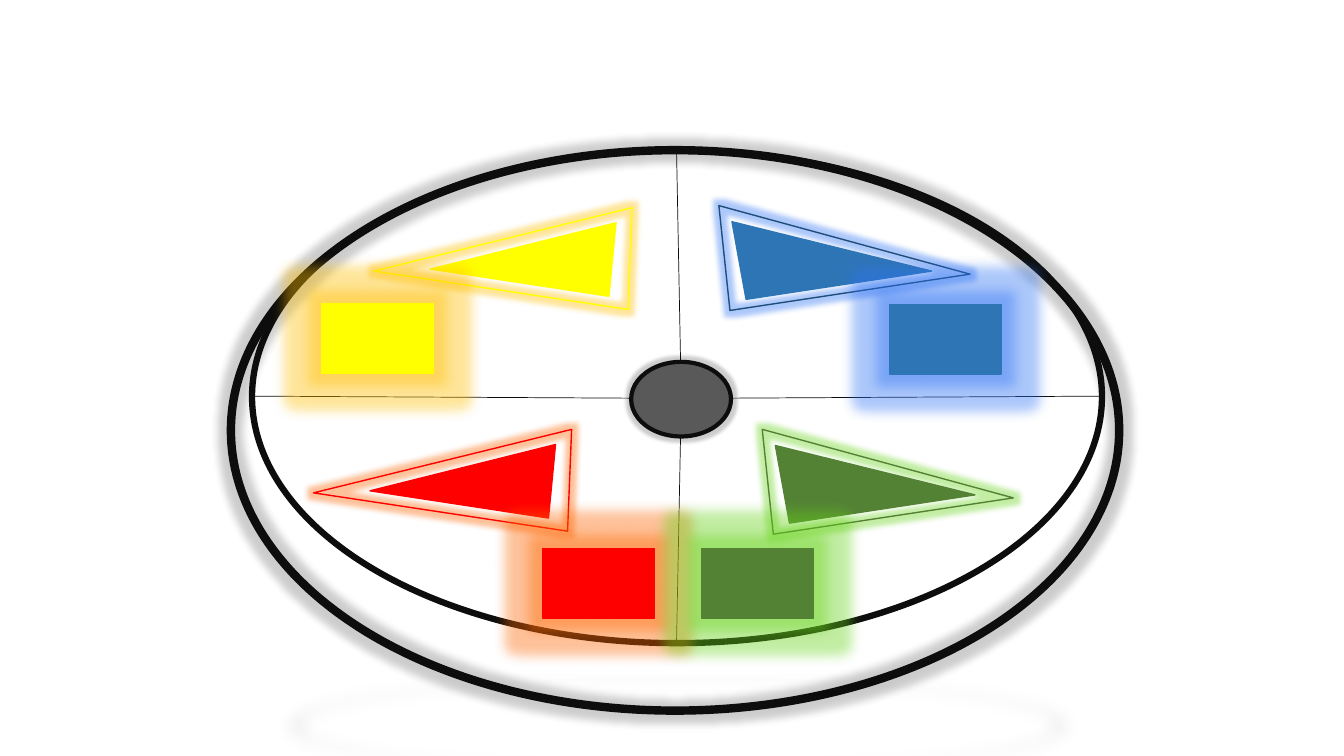
from lxml import etree
from pptx import Presentation
from pptx.dml.color import RGBColor
from pptx.enum.shapes import MSO_CONNECTOR, MSO_SHAPE
from pptx.oxml.ns import qn
from pptx.util import Inches, Pt

COLORS = {
    "black": "000000", "rim": "0D0D0D", "hub": "595959",
    "yellow": "FFFF00", "red": "FF0000", "blue": "2E75B6",
    "navy": "1F4E79", "green": "548235",
    "yellow glow": "FFC000", "red glow": "FF6600",
    "blue glow": "2F74F5", "green glow": "66D419",
}

# Corner points of the pointers in the upper half of the disc
LEFT_OUTER = [(3.71, 2.69), (6.27, 2.06), (6.23, 3.07)]
LEFT_INNER = [(4.27, 2.67), (6.11, 2.21), (6.04, 2.94)]
RIGHT_OUTER = [(7.13, 2.04), (9.62, 2.72), (7.24, 3.08)]
RIGHT_INNER = [(7.26, 2.2), (9.24, 2.69), (7.4, 2.97)]

# Hue, outline colour, outer and inner pointer, pointer shift, button corner
SECTORS = [
    ("yellow", "yellow", LEFT_OUTER, LEFT_INNER, (0, 0), (3.19, 3.01)),
    ("red", "red", LEFT_OUTER, LEFT_INNER, (-0.6, 2.2), (5.38, 5.44)),
    ("blue", "navy", RIGHT_OUTER, RIGHT_INNER, (0, 0), (8.82, 3.02)),
    ("green", "green", RIGHT_OUTER, RIGHT_INNER, (0.43, 2.22), (6.96, 5.44)),
]

# Spokes from the hub to the edge of the disc
SPOKES = [
    ((6.75, 3.59), (6.71, 1.49)), ((7.24, 3.95), (10.93, 3.93)),
    ((6.26, 3.95), (2.5, 3.93)), ((6.75, 4.32), (6.71, 6.37)),
]


def rgb(name):
    """Return the named colour."""
    return RGBColor.from_string(COLORS[name])


def add_effect(shape, tag, color, alpha, **attributes):
    """Add a glow or shadow with the given opacity in percent."""
    properties = shape._element.spPr
    effects = properties.find(qn("a:effectLst"))
    if effects is None:
        effects = etree.SubElement(properties, qn("a:effectLst"))
    effect = etree.SubElement(effects, qn(tag))
    for key, value in attributes.items():
        effect.set(key, str(value))
    tint = etree.SubElement(effect, qn("a:srgbClr"), val=COLORS[color])
    etree.SubElement(tint, qn("a:alpha"), val=str(alpha * 1000))


def add_glow(shape, color, radius, alpha):
    """Surround a shape with a glow of a radius in points."""
    add_effect(shape, "a:glow", color, alpha, rad=int(Pt(radius)))


def style(shape, fill, line, width):
    """Set fill and outline, and drop the theme shadow."""
    shape.shadow.inherit = False
    if fill:
        shape.fill.solid()
        shape.fill.fore_color.rgb = rgb(fill)
    else:
        shape.fill.background()
    shape.line.color.rgb = rgb(line)
    shape.line.width = Pt(width)
    return shape


def add_preset(slide, kind, box, fill, line, width):
    """Add a preset shape in a box of left, top, width and height."""
    shape = slide.shapes.add_shape(kind, *map(Inches, box))
    return style(shape, fill, line, width)


def add_pointer(slide, points, shift, fill, line):
    """Add a skewed triangle, shifted from its base position."""
    corners = [(Inches(x + shift[0]), Inches(y + shift[1])) for x, y in points]
    builder = slide.shapes.build_freeform(*corners[0])
    builder.add_line_segments(corners[1:], close=True)
    return style(builder.convert_to_shape(), fill, line, 1)


def add_spoke(slide, start, end):
    """Add a thin dividing line."""
    spoke = slide.shapes.add_connector(
        MSO_CONNECTOR.STRAIGHT, *map(Inches, start + end))
    spoke.line.color.rgb = rgb("rim")
    spoke.line.width = Pt(0.5)
    etree.SubElement(spoke._element.spPr, qn("a:effectLst"))


def add_disc(slide):
    """Add the disc: base, top face with its cast shadow, hub and spokes."""
    oval = MSO_SHAPE.OVAL
    base = add_preset(slide, oval, (2.29, 1.49, 8.81, 5.56), None, "rim", 6)
    add_glow(base, "black", 12, 20)
    face = add_preset(slide, oval, (2.5, 1.49, 8.43, 4.89), None, "rim", 4.5)
    add_effect(face, "a:outerShdw", "black", 15, blurRad=int(Pt(12)),
               dist=int(Pt(25)), dir=5400000, sx=90000, sy=-19000,
               rotWithShape=0)
    hub = add_preset(slide, oval, (6.26, 3.59, 0.99, 0.74), "hub", "rim", 3)
    add_glow(hub, "black", 5, 20)
    for start, end in SPOKES:
        add_spoke(slide, start, end)


def add_sector(slide, hue, outline, outer, inner, shift, corner):
    """Add the double pointer and the glowing button of one sector."""
    glow = f"{hue} glow"
    frame = add_pointer(slide, outer, shift, None, outline)
    add_glow(frame, glow, 8, 40)
    add_pointer(slide, inner, shift, hue, hue)
    button = add_preset(
        slide, MSO_SHAPE.RECTANGLE, corner + (1.11, 0.69), hue, hue, 1)
    add_glow(button, glow, 18, 40)


def main():
    """Build and save the slide."""
    deck = Presentation()
    deck.slide_width, deck.slide_height = Inches(13.33), Inches(7.5)
    slide = deck.slides.add_slide(deck.slide_layouts[6])
    add_disc(slide)
    for sector in SECTORS:
        add_sector(slide, *sector)
    deck.save("out.pptx")


main()
